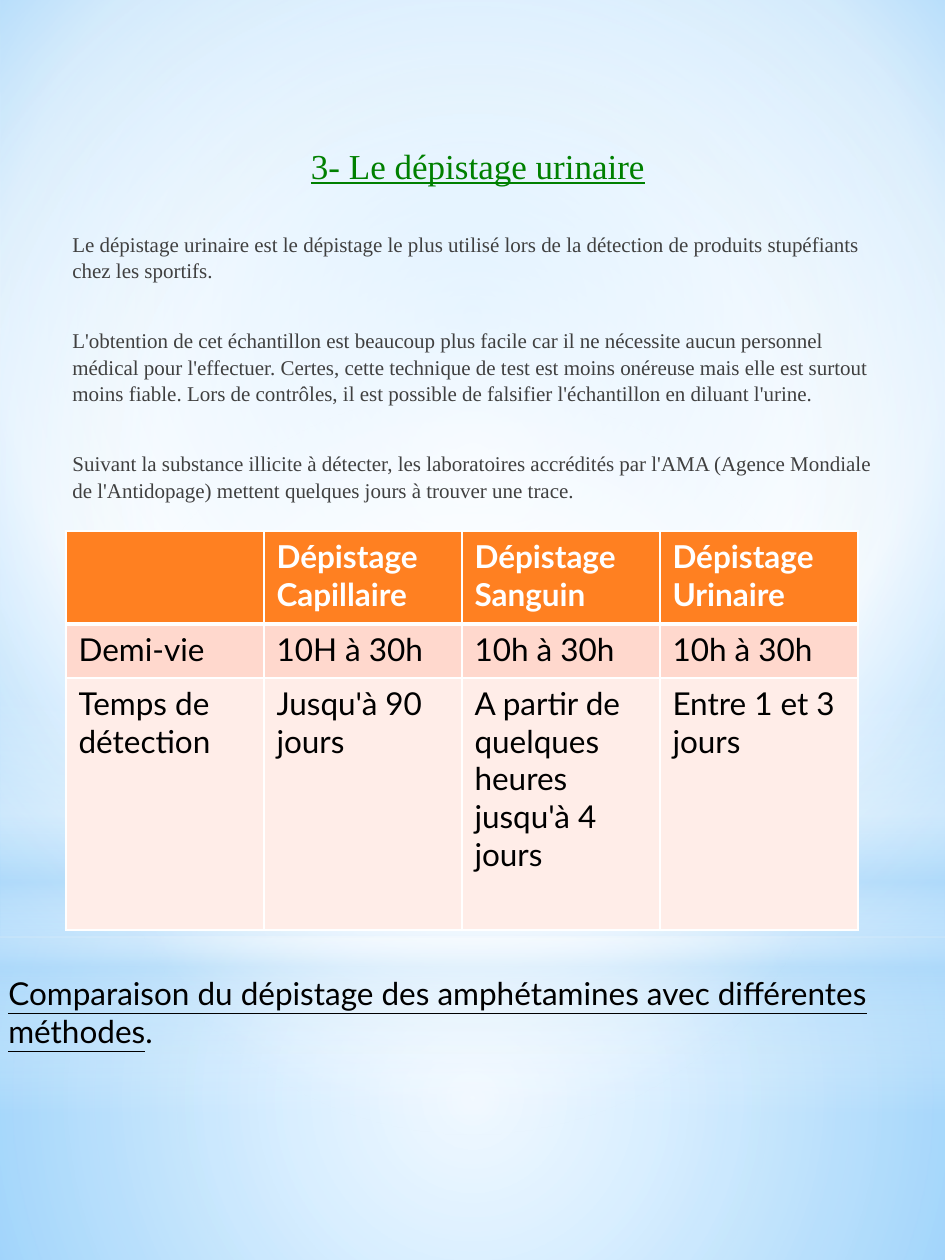
from dataclasses import dataclass

from lxml import etree
from pptx import Presentation
from pptx.dml.color import RGBColor
from pptx.enum.shapes import MSO_SHAPE
from pptx.enum.text import PP_ALIGN
from pptx.oxml.ns import qn
from pptx.util import Pt

RECTANGLE = MSO_SHAPE.RECTANGLE
OVAL = MSO_SHAPE.OVAL
CENTER = PP_ALIGN.CENTER
LEFT = PP_ALIGN.LEFT
EMU_PER_PIXEL = 914400 / 126
SERIF, SANS = "Times New Roman", "Lato"
COLORS = {
    "white": "FFFFFF", "sky": "B4DCFA", "light_blue": "9ED5FF", "deep_blue": "5BB9FF",
    "green": "008000", "gray": "404040", "black": "000000",
    "orange": "FF8021", "salmon": "FFD8CD", "blush": "FFEDE8",
}
CENTERED = (50, 50, 50, 50)


@dataclass
class Stop:
    position: int
    color: str
    opacity: int = 100


@dataclass
class Glow:
    preset: MSO_SHAPE
    top: int
    height: int
    stops: list[Stop]
    focus: tuple[int, ...] | None = CENTERED


@dataclass
class RowStyle:
    height: int
    fill: str
    text: str
    bold: bool
    bottom_border: int
    cells: list[str]


BACKGROUND = [Stop(0, "light_blue"), Stop(60, "white"), Stop(100, "deep_blue")]
GLOWS = [
    Glow(RECTANGLE, 937, 323, [Stop(0, "white", 91), Stop(37, "white", 76), Stop(100, "sky", 79)]),
    Glow(RECTANGLE, 0, 937, [Stop(0, "white", 89), Stop(48, "white", 62), Stop(100, "sky", 79)]),
    Glow(RECTANGLE, 692, 420, [
        Stop(0, "white", 0), Stop(29, "white", 30), Stop(45, "sky", 40),
        Stop(55, "white", 26), Stop(65, "sky", 60), Stop(100, "white", 0),
    ], None),
    Glow(OVAL, 294, 937, [Stop(0, "white"), Stop(56, "white", 0)]),
]
TITLE = "3- Le dépistage urinaire"
PARAGRAPHS = [
    "Le dépistage urinaire est le dépistage le plus utilisé lors de la détection de produits "
    "stupéfiants chez les sportifs.",
    "L'obtention de cet échantillon est beaucoup plus facile car il ne nécessite aucun personnel "
    "médical pour l'effectuer. Certes, cette technique de test est moins onéreuse mais elle est "
    "surtout moins fiable. Lors de contrôles, il est possible de falsifier l'échantillon en "
    "diluant l'urine.",
    "Suivant la substance illicite à détecter, les laboratoires accrédités par l'AMA (Agence "
    "Mondiale de l'Antidopage) mettent quelques jours à trouver une trace.",
]
ROWS = [
    RowStyle(93, "orange", "white", True, 3,
             ["", "Dépistage Capillaire", "Dépistage Sanguin", "Dépistage Urinaire"]),
    RowStyle(54, "salmon", "black", False, 1,
             ["Demi-vie", "10H à 30h", "10h à 30h", "10h à 30h"]),
    RowStyle(252, "blush", "black", False, 1,
             ["Temps de détection", "Jusqu'à 90 jours",
              "A partir de quelques heures jusqu'à 4 jours", "Entre 1 et 3 jours"]),
]
COLUMN_WIDTH = 198


def px(length: int) -> int:
    return round(length * EMU_PER_PIXEL)


def rgb(name: str) -> RGBColor:
    return RGBColor.from_string(COLORS[name])


def set_font(font, name: str, size: int, color: str, bold: bool = False) -> None:
    font.name, font.size, font.bold = name, Pt(size), bold
    font.color.rgb = rgb(color)


def set_gradient(properties, stops: list[Stop], focus: tuple[int, ...] | None) -> None:
    gradient = etree.Element(qn("a:gradFill"), rotWithShape="1")
    stop_list = etree.SubElement(gradient, qn("a:gsLst"))
    for stop in stops:
        entry = etree.SubElement(stop_list, qn("a:gs"), pos=str(stop.position * 1000))
        color = etree.SubElement(entry, qn("a:srgbClr"), val=COLORS[stop.color])
        if stop.opacity < 100:
            etree.SubElement(color, qn("a:alpha"), val=str(stop.opacity * 1000))
    if focus is None:
        etree.SubElement(gradient, qn("a:lin"), ang="5400000", scaled="0")
    else:
        circle = etree.SubElement(gradient, qn("a:path"), path="circle")
        sides = {side: str(value * 1000) for side, value in zip("ltrb", focus)}
        etree.SubElement(circle, qn("a:fillToRect"), **sides)
    properties.replace(properties.find(qn("a:solidFill")), gradient)


def add_glow(page, glow: Glow) -> None:
    shape = page.shapes.add_shape(glow.preset, 0, px(glow.top), px(945), px(glow.height))
    shape.shadow.inherit = False
    shape.line.fill.background()
    shape.fill.solid()
    set_gradient(shape.element.spPr, glow.stops, glow.focus)


def add_text_frame(page, left: int, top: int, width: int, height: int):
    frame = page.shapes.add_textbox(px(left), px(top), px(width), px(height)).text_frame
    frame.word_wrap = True
    return frame


def add_body(page) -> None:
    frame = add_text_frame(page, 45, 134, 851, 832)
    frame.margin_top = px(8)
    for index, text in enumerate([TITLE, *PARAGRAPHS]):
        is_title = index == 0
        para = frame.paragraphs[0] if is_title else frame.add_paragraph()
        para.text = text
        para.alignment = CENTER if is_title else LEFT
        para.line_spacing = 1.05
        para.space_before = Pt(0 if is_title else 22)
        para.space_after = Pt(3)
        para.font.underline = is_title
        set_font(para.font, SERIF, 20 if is_title else 12, "green" if is_title else "gray")
        properties = para._p.get_or_add_pPr()
        properties.set("marL", str(px(15)))
        properties.set("indent", "0")


def set_borders(cell, bottom_width: int, top_width: int) -> None:
    properties = cell._tc.get_or_add_tcPr()
    widths = {"lnL": 1, "lnR": 1, "lnT": top_width, "lnB": bottom_width}
    for position, (side, width) in enumerate(widths.items()):
        line = etree.Element(qn(f"a:{side}"), w=str(Pt(width)))
        fill = etree.SubElement(line, qn("a:solidFill"))
        etree.SubElement(fill, qn("a:srgbClr"), val=COLORS["white"])
        properties.insert(position, line)


def add_comparison_table(page) -> None:
    columns = len(ROWS[0].cells)
    height = sum(row.height for row in ROWS)
    table = page.shapes.add_table(
        len(ROWS), columns, px(66), px(531), px(columns * COLUMN_WIDTH), px(height)).table
    table.horz_banding = False
    top_border = 1
    for row_index, row in enumerate(ROWS):
        table.rows[row_index].height = px(row.height)
        for column, text in enumerate(row.cells):
            cell = table.cell(row_index, column)
            cell.text = text
            cell.fill.solid()
            cell.fill.fore_color.rgb = rgb(row.fill)
            set_font(cell.text_frame.paragraphs[0].font, SANS, 18, row.text, row.bold)
            set_borders(cell, row.bottom_border, top_border)
        top_border = row.bottom_border


def add_caption(page) -> None:
    para = add_text_frame(page, -4, 968, 983, 50).paragraphs[0]
    set_font(para.font, SANS, 18, "black")
    span = para.add_run()
    span.text = "Comparaison du dépistage des amphétamines avec différentes méthodes"
    span.font.underline = True
    para.add_run().text = "."


def main() -> None:
    deck = Presentation()
    deck.slide_width, deck.slide_height = px(945), px(1260)
    page = deck.slides.add_slide(deck.slide_layouts[6])
    page.background.fill.solid()
    set_gradient(page.element.find(f".//{qn('p:bgPr')}"), BACKGROUND, (20, 10, 20, 60))
    for glow in GLOWS:
        add_glow(page, glow)
    add_body(page)
    add_comparison_table(page)
    add_caption(page)
    deck.save("out.pptx")


main()
